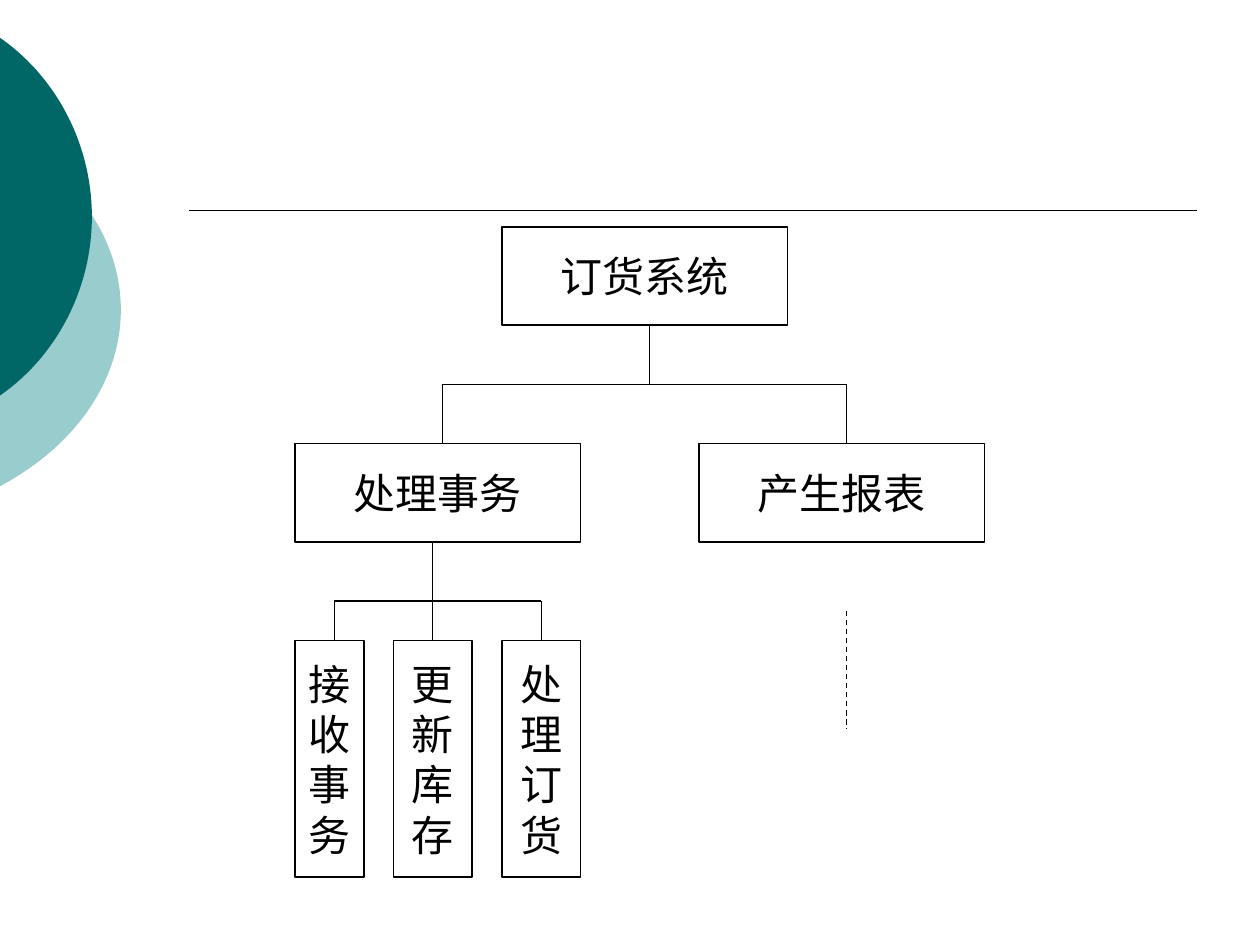
from lxml.etree import SubElement
from pptx import Presentation
from pptx.dml.color import RGBColor
from pptx.enum.dml import MSO_LINE
from pptx.enum.shapes import MSO_CONNECTOR, MSO_SHAPE
from pptx.enum.text import MSO_ANCHOR, PP_ALIGN
from pptx.oxml.ns import qn
from pptx.util import Inches, Pt

LEFT, TOP, UNIT = 2.34, 1.8, 0.0782
INK, TEAL, PALE_TEAL = "000000", "006666", "99CCCC"
FONT = "DejaVu Sans"
TOP_SIDE = 0


def color(hex_code):
    """Turn a hex string into a colour."""
    return RGBColor.from_string(hex_code)


def column(number):
    """Give the horizontal place of a grid column."""
    return Inches(LEFT + number * UNIT)


def row(number):
    """Give the vertical place of a grid row."""
    return Inches(TOP + number * UNIT)


def span(count):
    """Give the length of a number of grid units."""
    return Inches(count * UNIT)


def add_disc(slide, hex_code, top, middle, reach, bend, steps=30):
    """Draw the part of a disc that rises from the left edge of the slide."""
    (x1, y1), (x2, y2) = bend
    upper = []
    for step in range(steps + 1):
        t = step / steps
        s = 1 - t
        weights = (s**3, 3 * s * s * t, 3 * s * t * t, t**3)
        upper.append((
            sum(w * x for w, x in zip(weights, (0, x1, x2, reach))),
            sum(w * y for w, y in zip(weights, (top, y1, y2, middle))),
        ))
    lower = [(x, 2 * middle - y) for x, y in reversed(upper[:-1])]
    outline = [(Inches(x), Inches(y)) for x, y in upper + lower]
    builder = slide.shapes.build_freeform(*outline[0])
    builder.add_line_segments(outline[1:], close=True)
    disc = builder.convert_to_shape()
    disc.shadow.inherit = False
    disc.fill.solid()
    disc.fill.fore_color.rgb = color(hex_code)
    disc.line.fill.background()


def add_line(slide, start, end, weight=0.75, dash=None):
    """Draw a straight line between two points."""
    line = slide.shapes.add_connector(MSO_CONNECTOR.STRAIGHT, *start, *end)
    line.line.color.rgb = color(INK)
    line.line.width = Pt(weight)
    if dash:
        line.line.dash_style = dash
    SubElement(line._element.spPr, qn("a:effectLst"))
    return line


def add_module(slide, label, left, top, width, height):
    """Draw a module box placed on the grid."""
    module = slide.shapes.add_shape(
        MSO_SHAPE.RECTANGLE, column(left), row(top), span(width), span(height))
    module.shadow.inherit = False
    module.fill.background()
    module.line.color.rgb = color(INK)
    module.line.width = Pt(1)
    frame = module.text_frame
    frame.margin_left = frame.margin_right = 0
    frame.margin_top = frame.margin_bottom = 0
    frame.vertical_anchor = MSO_ANCHOR.MIDDLE
    frame.word_wrap = True
    frame.text = label
    paragraph = frame.paragraphs[0]
    paragraph.alignment = PP_ALIGN.CENTER
    font = paragraph.runs[0].font
    font.name, font.size = FONT, Pt(24)
    font.color.rgb = color(INK)
    return module


def add_branch(slide, trunk, trunk_top, bar, drops, children):
    """Link a parent to its children with a trunk, a bar and drops."""
    add_line(slide, (column(trunk), row(trunk_top)), (column(trunk), row(bar)))
    add_line(slide, (column(drops[0]), row(bar)),
             (column(drops[-1]), row(bar)), weight=1)
    for drop, child in zip(drops, children):
        line = add_line(slide, (column(drop), row(bar)),
                        (column(drop), child.top))
        if abs(column(drop) - child.left - child.width / 2) < Inches(0.01):
            line.end_connect(child, TOP_SIDE)


def main():
    """Build the slide with the module chart of the ordering system."""
    deck = Presentation()
    deck.slide_width, deck.slide_height = Inches(10), Inches(7.5)
    slide = deck.slides.add_slide(deck.slide_layouts[6])

    add_disc(slide, PALE_TEAL, 1.06, 2.46, 0.96, ((0.6, 1.38), (0.96, 1.9)))
    add_disc(slide, TEAL, 0.3, 1.72, 0.73, ((0.46, 0.62), (0.73, 1.16)))
    add_line(slide, (Inches(1.5), Inches(1.67)),
             (Inches(9.5), Inches(1.67)), weight=1)

    add_module(slide, "订货系统", 21, 0, 29, 10)
    subsystems = [add_module(slide, label, left, 22, 29, 10)
                  for label, left in (("处理事务", 0), ("产生报表", 41))]
    tasks = [add_module(slide, label, left, 42, width, 24)
             for label, left, width in (
                 ("接收事务", 0, 7), ("更新库存", 10, 8), ("处理订货", 21, 8))]

    add_branch(slide, 36, 10, 16, (15, 56), subsystems)
    add_branch(slide, 14, 32, 38, (4, 14, 25), tasks)
    add_line(slide, (column(56), row(39)), (column(56), row(51)),
             dash=MSO_LINE.DASH)

    deck.save("out.pptx")


if __name__ == "__main__":
    main()
